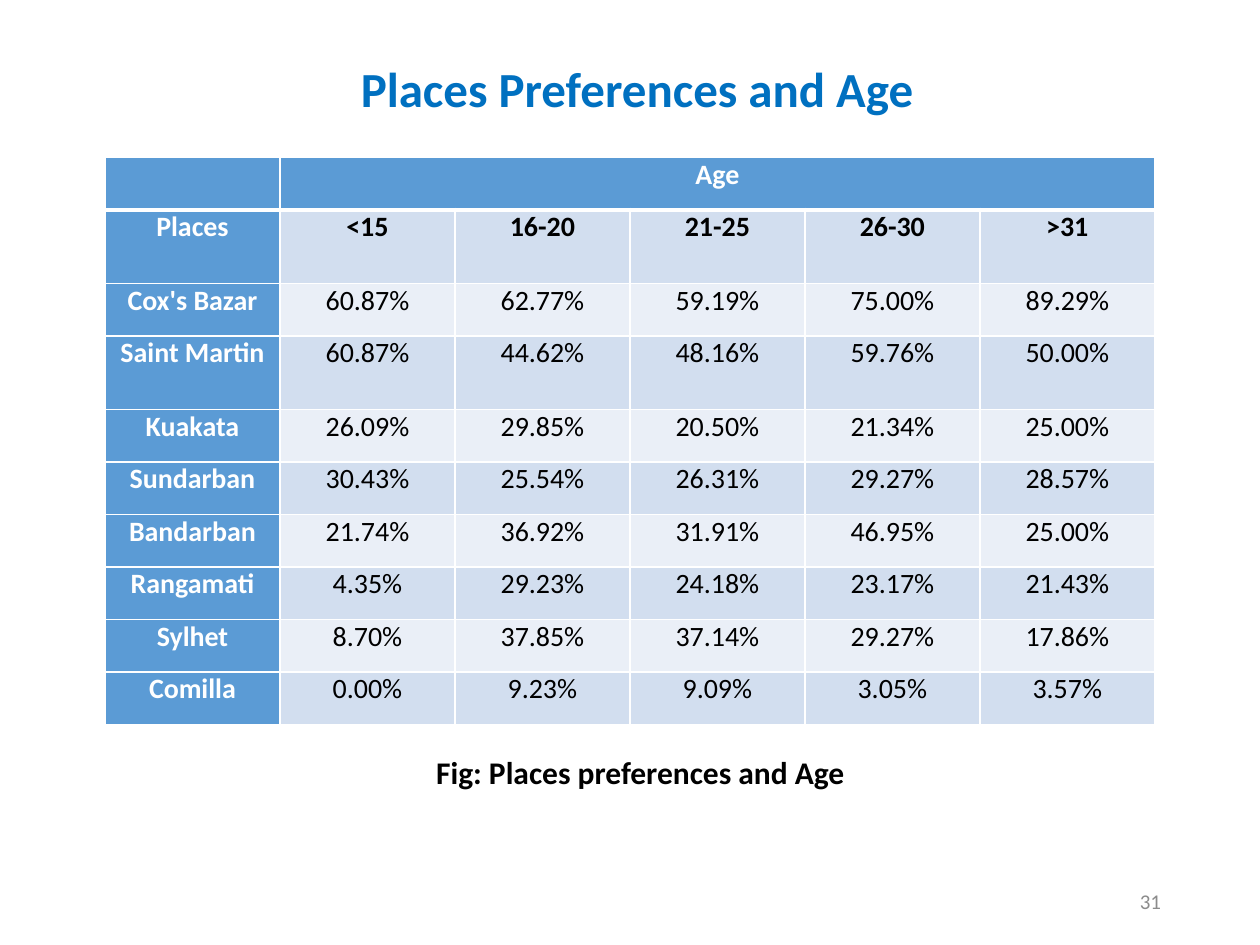
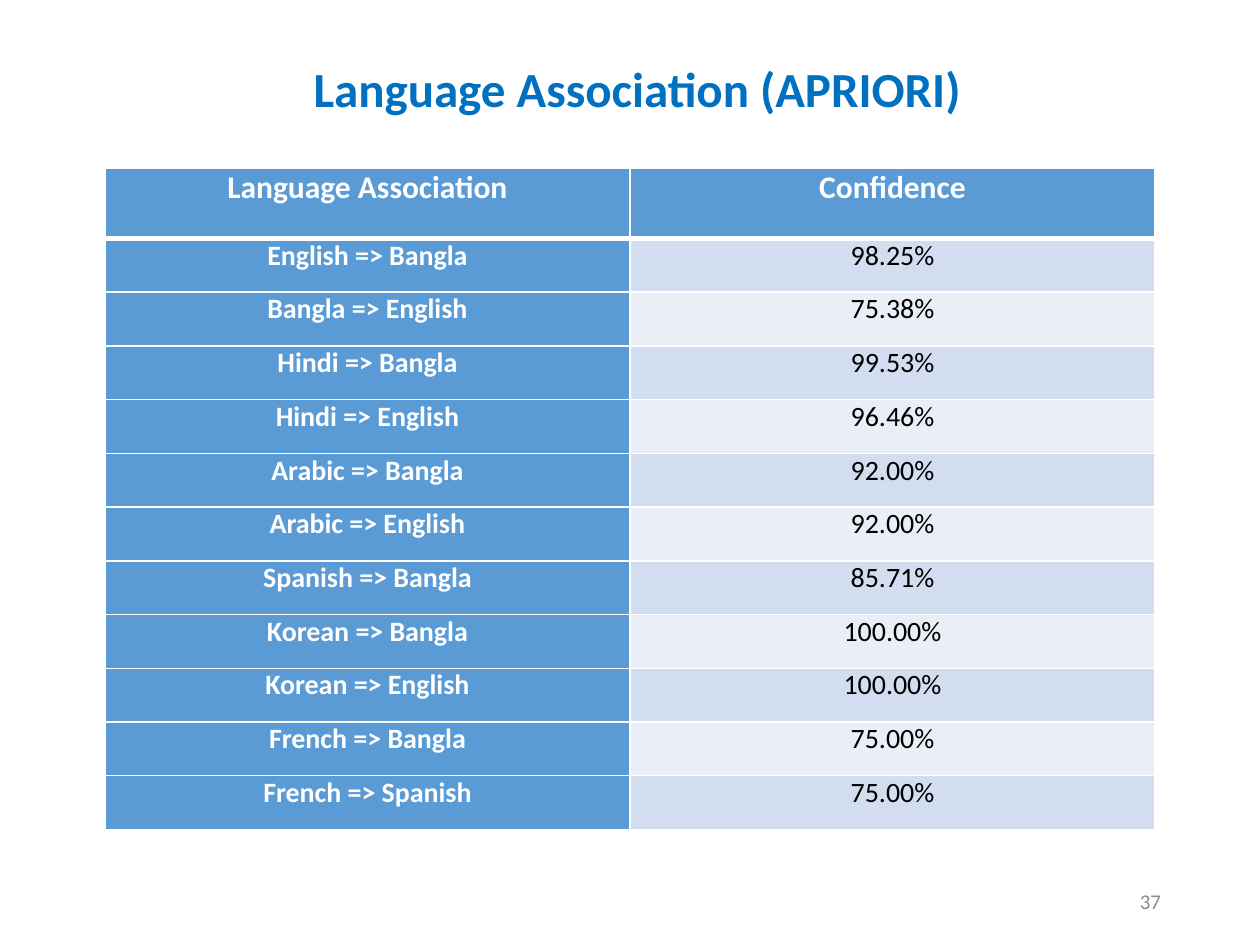
from lxml import etree
from pptx import Presentation
from pptx import util as u
from pptx.dml import color
from pptx.enum import text
from pptx.oxml import ns

Pt = u.Pt
PLACES = [
    ["", "Age", "", "", "", ""],
    ["Places", "<15", "16-20", "21-25", "26-30", ">31"],
    ["Cox's Bazar", "60.87%", "62.77%", "59.19%", "75.00%", "89.29%"],
    ["Saint Martin", "60.87%", "44.62%", "48.16%", "59.76%", "50.00%"],
    ["Kuakata", "26.09%", "29.85%", "20.50%", "21.34%", "25.00%"],
    ["Sundarban", "30.43%", "25.54%", "26.31%", "29.27%", "28.57%"],
    ["Bandarban", "21.74%", "36.92%", "31.91%", "46.95%", "25.00%"],
    ["Rangamati", "4.35%", "29.23%", "24.18%", "23.17%", "21.43%"],
    ["Sylhet", "8.70%", "37.85%", "37.14%", "29.27%", "17.86%"],
    ["Comilla", "0.00%", "9.23%", "9.09%", "3.05%", "3.57%"],
]
LANGUAGES = [
    ["Language Association", "Confidence"],
    ["English => Bangla", "98.25%"],
    ["Bangla => English", "75.38%"],
    ["Hindi => Bangla", "99.53%"],
    ["Hindi => English", "96.46%"],
    ["Arabic => Bangla", "92.00%"],
    ["Arabic => English", "92.00%"],
    ["Spanish => Bangla", "85.71%"],
    ["Korean => Bangla", "100.00%"],
    ["Korean => English", "100.00%"],
    ["French => Bangla", "75.00%"],
    ["French => Spanish", "75.00%"],
]


def rgb(value):
    return color.RGBColor.from_string(value)


def write(tf, words, size=16, fill="000000", bold=False, align="CENTER"):
    p = tf.paragraphs[0]
    p.alignment = getattr(text.PP_ALIGN, align)
    r = p.add_run()
    r.text = words
    r.font.name = "Calibri"
    r.font.size = Pt(size)
    r.font.bold = bold
    r.font.color.rgb = rgb(fill)


def border(cell, side, width, fill):
    ln = etree.SubElement(cell._tc.get_or_add_tcPr(), ns.qn(f"a:ln{side}"), w=str(Pt(width)))
    solid = etree.SubElement(ln, ns.qn("a:solidFill"))
    etree.SubElement(solid, ns.qn("a:srgbClr"), val=fill)


class Deck:
    TITLE, HEAD, WHITE, GREY = "0070C0", "5B9BD5", "FFFFFF", "8C8C8C"
    BANDS = ("EAEFF7", "D2DEEF")

    def __init__(self):
        self.prs = Presentation()
        self.prs.slide_width, self.prs.slide_height = Pt(720), Pt(540)

    def slide(self, title, number):
        self.s = self.prs.slides.add_slide(self.prs.slide_layouts[5])
        sp = self.s.shapes.title
        sp.left, sp.top, sp.width, sp.height = Pt(98), Pt(30), Pt(532), Pt(41)
        tf = sp.text_frame
        tf.vertical_anchor = text.MSO_ANCHOR.TOP
        tf.auto_size = text.MSO_AUTO_SIZE.SHAPE_TO_FIT_TEXT
        write(tf, title, size=28, fill=self.TITLE, bold=True)
        self.label(number, 508.5, 500.5, 162, 28.75, anchor="MIDDLE",
                   size=12, fill=self.GREY, align="RIGHT")

    def label(self, words, x, y, w, h, anchor="TOP", **style):
        tf = self.s.shapes.add_textbox(Pt(x), Pt(y), Pt(w), Pt(h)).text_frame
        tf.word_wrap = True
        tf.vertical_anchor = getattr(text.MSO_ANCHOR, anchor)
        write(tf, words, **style)

    def table(self, rows, top, heights, head_size=16, bold_rows=1):
        n = len(rows[0])
        tbl = self.s.shapes.add_table(len(rows), n, Pt(60), Pt(top), Pt(600), Pt(sum(heights))).table
        tbl.first_col = True
        for col in tbl.columns:
            col.width = Pt(600 / n)
        for i, row in enumerate(rows):
            tbl.rows[i].height = Pt(heights[i])
            for j, words in enumerate(row):
                head = i == 0 or j == 0
                cell = tbl.cell(i, j)
                self.cell(cell, i, self.HEAD if head else self.BANDS[i % 2])
                if words:
                    write(cell.text_frame, words, size=head_size if i == 0 else 16,
                          fill=self.WHITE if head else "000000", bold=head or i < bold_rows)
        return tbl

    def cell(self, cell, row, fill):
        cell.margin_left = cell.margin_right = Pt(5)
        cell.margin_top = cell.margin_bottom = 0
        widths = {"L": 1, "R": 1, "T": 3 if row == 1 else 1, "B": 3 if row == 0 else 1}
        for side, width in widths.items():
            border(cell, side, width, self.WHITE)
        cell.fill.solid()
        cell.fill.fore_color.rgb = rgb(fill)


def main():
    deck = Deck()
    deck.slide("Places Preferences and Age", "31")
    heights = [42 if row[0] in ("Places", "Saint Martin") else 30 for row in PLACES]
    tbl = deck.table(PLACES, 90, heights, bold_rows=2)
    tbl.cell(0, 1).merge(tbl.cell(0, 5))
    deck.label("Fig: Places preferences and Age", 102, 426.5, 528, 29, size=18, bold=True)

    deck.slide("Language Association (APRIORI)", "37")
    deck.table(LANGUAGES, 96, [40.3] + [30.7] * (len(LANGUAGES) - 1), head_size=18)
    deck.prs.save("out.pptx")


if __name__ == "__main__":
    main()
